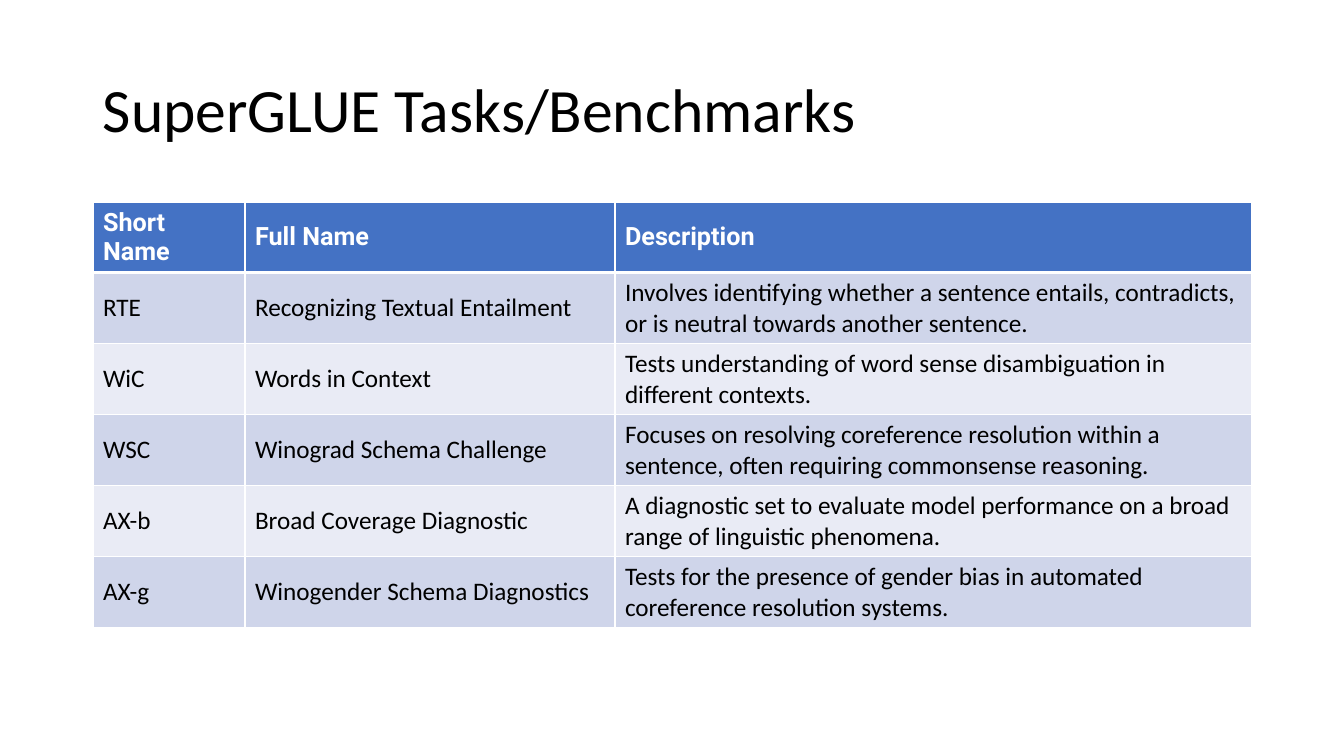
from lxml import etree
from pptx import Presentation
from pptx.dml.color import RGBColor
from pptx.enum.text import MSO_ANCHOR
from pptx.oxml.ns import qn
from pptx.util import Pt

MIDDLE = MSO_ANCHOR.MIDDLE
PX = 9144000 / 1008  # EMU per px at 100.8 px to the inch
COLORS = {
    "text": "000000",
    "white": "FFFFFF",
    "header": "4472C4",
    "band_dark": "CFD5EA",
    "band_light": "E9EBF5",
}
COLUMN_WIDTHS = [152, 370, 637]
HEADER_HEIGHT = 68
ROW_HEIGHT = 71
TASKS = [
    ("Short Name", "Full Name", "Description"),
    ("RTE", "Recognizing Textual Entailment",
     "Involves identifying whether a sentence entails, contradicts, "
     "or is neutral towards another sentence."),
    ("WiC", "Words in Context",
     "Tests understanding of word sense disambiguation in different contexts."),
    ("WSC", "Winograd Schema Challenge",
     "Focuses on resolving coreference resolution within a sentence, "
     "often requiring commonsense reasoning."),
    ("AX-b", "Broad Coverage Diagnostic",
     "A diagnostic set to evaluate model performance on a broad range "
     "of linguistic phenomena."),
    ("AX-g", "Winogender Schema Diagnostics",
     "Tests for the presence of gender bias in automated coreference "
     "resolution systems."),
]


def px(n):
    return round(n * PX)


def rgb(name):
    return RGBColor.from_string(COLORS[name])


def add_run(p, text, size, font, color, bold=False):
    r = p.add_run()
    r.text = text
    r.font.size = Pt(size)
    r.font.name = font
    r.font.bold = bold
    r.font.color.rgb = rgb(color)


def set_borders(cell, top, bottom):
    """Draw white borders; top and bottom widths are in points."""
    tcPr = cell._tc.get_or_add_tcPr()
    for side, width in (("L", 1), ("R", 1), ("T", top), ("B", bottom)):
        ln = etree.SubElement(tcPr, qn(f"a:ln{side}"), w=str(Pt(width)))
        fill = etree.SubElement(ln, qn("a:solidFill"))
        etree.SubElement(fill, qn("a:srgbClr"), val=COLORS["white"])


def add_title(slide, x, y, w, h):
    tf = slide.shapes.add_textbox(px(x), px(y), px(w), px(h)).text_frame
    tf.word_wrap = True
    tf.vertical_anchor = MIDDLE
    p = tf.paragraphs[0]
    p.line_spacing = 0.9
    add_run(p, "SuperGLUE Tasks/Benchmarks", 44, "Calibri", "text")


def add_task_table(slide, x, y, w, h):
    table = slide.shapes.add_table(
        len(TASKS), len(COLUMN_WIDTHS), px(x), px(y), px(w), px(h)).table
    for column, width in zip(table.columns, COLUMN_WIDTHS):
        column.width = px(width)
    for i, task in enumerate(TASKS):
        is_header = i == 0
        table.rows[i].height = px(HEADER_HEIGHT if is_header else ROW_HEIGHT)
        if is_header:
            fill, font, color = "header", "Roboto", "white"
        else:
            fill = "band_dark" if i % 2 else "band_light"
            font, color = "Calibri", "text"
        for j, text in enumerate(task):
            cell = table.cell(i, j)
            # A thick rule separates the header from the body
            set_borders(cell, 3 if i == 1 else 1, 3 if is_header else 1)
            cell.fill.solid()
            cell.fill.fore_color.rgb = rgb(fill)
            cell.vertical_anchor = MIDDLE
            add_run(cell.text_frame.paragraphs[0], text, 18, font, color, is_header)


def main():
    prs = Presentation()
    prs.slide_width, prs.slide_height = px(1344), px(756)
    slide = prs.slides.add_slide(prs.slide_layouts[6])
    left, width = 93, sum(COLUMN_WIDTHS)
    add_title(slide, left, 40, width, 146)
    add_task_table(slide, left, 202, width,
                   HEADER_HEIGHT + ROW_HEIGHT * (len(TASKS) - 1))
    prs.save("out.pptx")


if __name__ == "__main__":
    main()
